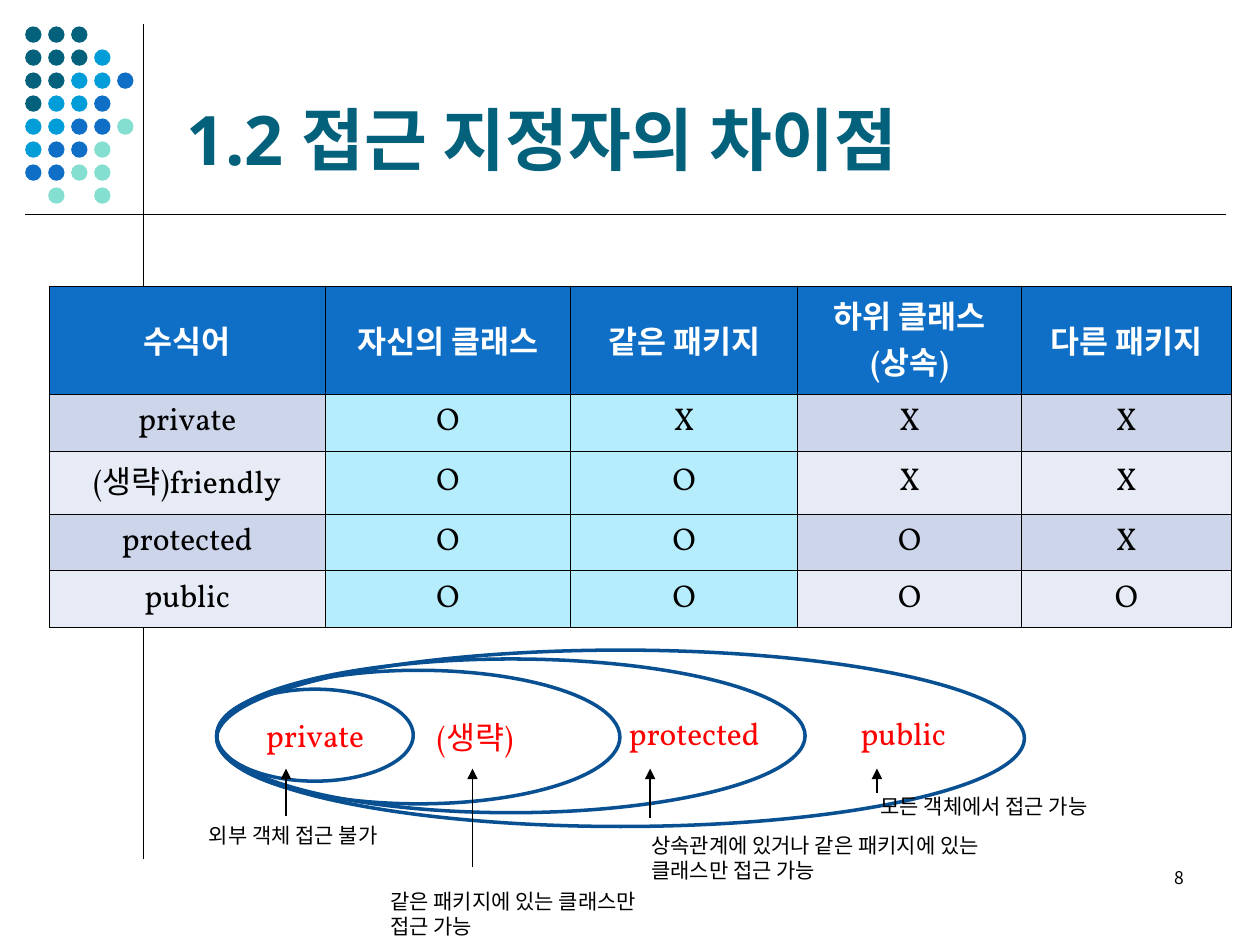
"""Build a slide that compares the four access modifiers."""
from dataclasses import dataclass

from lxml import etree
from pptx import Presentation
from pptx.dml.color import RGBColor
from pptx.enum.shapes import MSO_CONNECTOR, MSO_SHAPE
from pptx.enum.text import MSO_ANCHOR, MSO_AUTO_SIZE, PP_ALIGN
from pptx.oxml import parse_xml
from pptx.oxml.ns import nsdecls, qn
from pptx.util import Inches, Pt

OVAL = MSO_SHAPE.OVAL
STRAIGHT = MSO_CONNECTOR.STRAIGHT
TOP, MIDDLE, BOTTOM = MSO_ANCHOR.TOP, MSO_ANCHOR.MIDDLE, MSO_ANCHOR.BOTTOM
LEFT, CENTER, RIGHT = PP_ALIGN.LEFT, PP_ALIGN.CENTER, PP_ALIGN.RIGHT
FIT = MSO_AUTO_SIZE.SHAPE_TO_FIT_TEXT


@dataclass(frozen=True)
class Theme:
    """Colours, fonts and sizes of the slide."""
    teal: str = "04617B"
    sky: str = "009DD9"
    blue: str = "0F6FC6"
    mint: str = "85DFD0"
    navy: str = "085091"
    red: str = "FF0000"
    black: str = "000000"
    white: str = "FFFFFF"
    bands: tuple = ("CCD5EA", "E7EBF5")
    highlight: str = "B5EDFD"
    title_font: str = "Noto Sans"
    body_font: str = "Vollkorn"
    korean_font: str = "Noto Sans CJK KR"
    title_size: int = 39
    body_size: int = 18
    note_size: int = 12
    number_size: int = 10
    thin: float = 0.75
    thick: float = 2
    border: float = 0.45


class Deck:
    """Draws styled elements on the current slide."""

    def __init__(self, prs, theme):
        self.theme = theme
        self.s = prs.slides.add_slide(prs.slide_layouts[6])

    def fill_text(self, tf, text, font, size, color, bold=False, align=LEFT):
        """Fill a text frame, one paragraph per line."""
        tf.text = text
        for p in tf.paragraphs:
            p.alignment = align
            f = p.font
            f.name, f.size, f.bold = font, Pt(size), bold
            f.color.rgb = RGBColor.from_string(color)
            ea = etree.SubElement(p._p.pPr.find(qn("a:defRPr")), qn("a:ea"))
            ea.set("typeface", self.theme.korean_font)

    def text(self, box, text, font, size, color, bold=False, align=LEFT, anchor=TOP, fit=False):
        """Add a text box."""
        tf = self.s.shapes.add_textbox(*map(Inches, box)).text_frame
        tf.word_wrap = not fit
        tf.vertical_anchor = anchor
        if fit:
            tf.auto_size = FIT
        self.fill_text(tf, text, font, size, color, bold, align)

    def oval(self, box, fill=None, line=None):
        """Add an ellipse that is either filled or outlined."""
        sp = self.s.shapes.add_shape(OVAL, *map(Inches, box))
        sp.shadow.inherit = False
        if fill:
            sp.fill.solid()
            sp.fill.fore_color.rgb = RGBColor.from_string(fill)
        else:
            sp.fill.background()
        if line:
            sp.line.color.rgb = RGBColor.from_string(line)
            sp.line.width = Pt(self.theme.thick)
        else:
            sp.line.fill.background()
        return sp

    def ring(self, box, label="", indent=0.1):
        """Add an outlined ellipse with a centred label."""
        t = self.theme
        sp = self.oval(box, line=t.navy)
        if label:
            tf = sp.text_frame
            tf.vertical_anchor = MIDDLE
            tf.margin_left = Inches(indent)
            self.fill_text(tf, label, t.body_font, t.body_size, t.red, align=CENTER)

    def line(self, start, end, arrow=False):
        """Add a thin line, with an arrowhead at its end if asked."""
        c = self.s.shapes.add_connector(STRAIGHT, *map(Inches, start + end))
        c.line.color.rgb = RGBColor.from_string(self.theme.black)
        c.line.width = Pt(self.theme.thin)
        if arrow:
            etree.SubElement(c.line._get_or_add_ln(), qn("a:tailEnd")).set("type", "triangle")
        etree.SubElement(c._element.spPr, qn("a:effectLst"))

    def border(self, cell):
        """Draw all four edges of a cell."""
        t = self.theme
        tc_pr = cell._tc.get_or_add_tcPr()
        for i, side in enumerate("LRTB"):
            tc_pr.insert(i, parse_xml(
                f'<a:ln{side} {nsdecls("a")} w="{Pt(t.border)}"><a:solidFill>'
                f'<a:srgbClr val="{t.black}"/></a:solidFill></a:ln{side}>'))

    def table(self, box, widths, heights, rows):
        """Add a banded table whose second and third columns stand out."""
        t = self.theme
        tbl = self.s.shapes.add_table(len(rows), len(widths), *map(Inches, box)).table
        for col, width in zip(tbl.columns, widths):
            col.width = Inches(width)
        for i, (row, height) in enumerate(zip(rows, heights)):
            tbl.rows[i].height = Inches(height)
            for j, text in enumerate(row):
                cell = tbl.cell(i, j)
                head = i == 0
                if head:
                    fill = t.blue
                else:
                    fill = t.highlight if j in (1, 2) else t.bands[(i - 1) % 2]
                cell.fill.solid()
                cell.fill.fore_color.rgb = RGBColor.from_string(fill)
                cell.vertical_anchor = MIDDLE
                self.fill_text(cell.text_frame, text, t.body_font, t.body_size,
                               t.white if head else t.black, head, CENTER)
                self.border(cell)


def main():
    prs = Presentation()
    prs.slide_width, prs.slide_height = Inches(10), Inches(7.5)
    t = Theme()
    d = Deck(prs, t)

    d.line((1.14, 0.19), (1.14, 6.82))
    dots = ["TTT", "TTTS", "TTSSB", "TSSB", "SSBBM", "SBBM", "BBMM", " M M"]
    colors = {"T": t.teal, "S": t.sky, "B": t.blue, "M": t.mint}
    pitch = 0.73 / 4
    for i, row in enumerate(dots):
        for j, key in enumerate(row):
            if key in colors:
                d.oval((0.2 + j * pitch, 0.21 + i * pitch, 0.13, 0.13), fill=colors[key])
    d.line((0.2, 1.7), (9.73, 1.7))

    d.text((1.38, 0.21, 8.25, 1.26), "1.2 접근 지정자의 차이점", t.title_font,
           t.title_size, t.teal, bold=True, anchor=BOTTOM)
    d.text((7.17, 6.83, 2.33, 0.5), "8", t.korean_font, t.number_size, t.black, align=RIGHT)

    d.table((0.39, 2.27, 9.38, 2.71), (2.19, 1.95, 1.8, 1.78, 1.66),
            (0.86, 0.45, 0.5, 0.45, 0.45), [
        ("수식어", "자신의 클래스", "같은 패키지", "하위 클래스(상속)", "다른 패키지"),
        ("private", *"OXXX"),
        ("(생략)friendly", *"OOXX"),
        ("protected", *"OOOX"),
        ("public", *"OOOO"),
    ])

    d.ring((1.72, 5.47, 1.56, 0.73), "private")
    d.ring((1.72, 5.32, 3.2, 1.06), "(생략)", indent=1)
    d.ring((1.72, 5.23, 4.67, 1.22))
    d.ring((1.72, 5.16, 6.41, 1.4))
    for box, label in [((4.89, 5.62, 1.33, 0.4), "protected"),
                       ((6.73, 5.62, 0.94, 0.4), "public")]:
        d.text(box, label, t.body_font, t.body_size, t.red, fit=True)

    notes = [
        ((6.89, 6.25, 1.87, 0.3), "모든 객체에서 접근 가능"),
        ((5.07, 6.56, 2.88, 0.5), "상속관계에 있거나 같은 패키지에 있는\n클래스만 접근 가능"),
        ((3, 7, 2.18, 0.5), "같은 패키지에 있는 클래스만\n접근 가능"),
        ((1.56, 6.48, 1.56, 0.3), "외부 객체 접근 불가"),
    ]
    for box, note in notes:
        d.text(box, note, t.korean_font, t.note_size, t.black, fit=True)
    for x, bottom in [(2.27, 6.48), (3.75, 6.88), (5.16, 6.49), (6.96, 6.29)]:
        d.line((x, bottom), (x, 6.1), arrow=True)

    prs.save("out.pptx")


if __name__ == "__main__":
    main()
